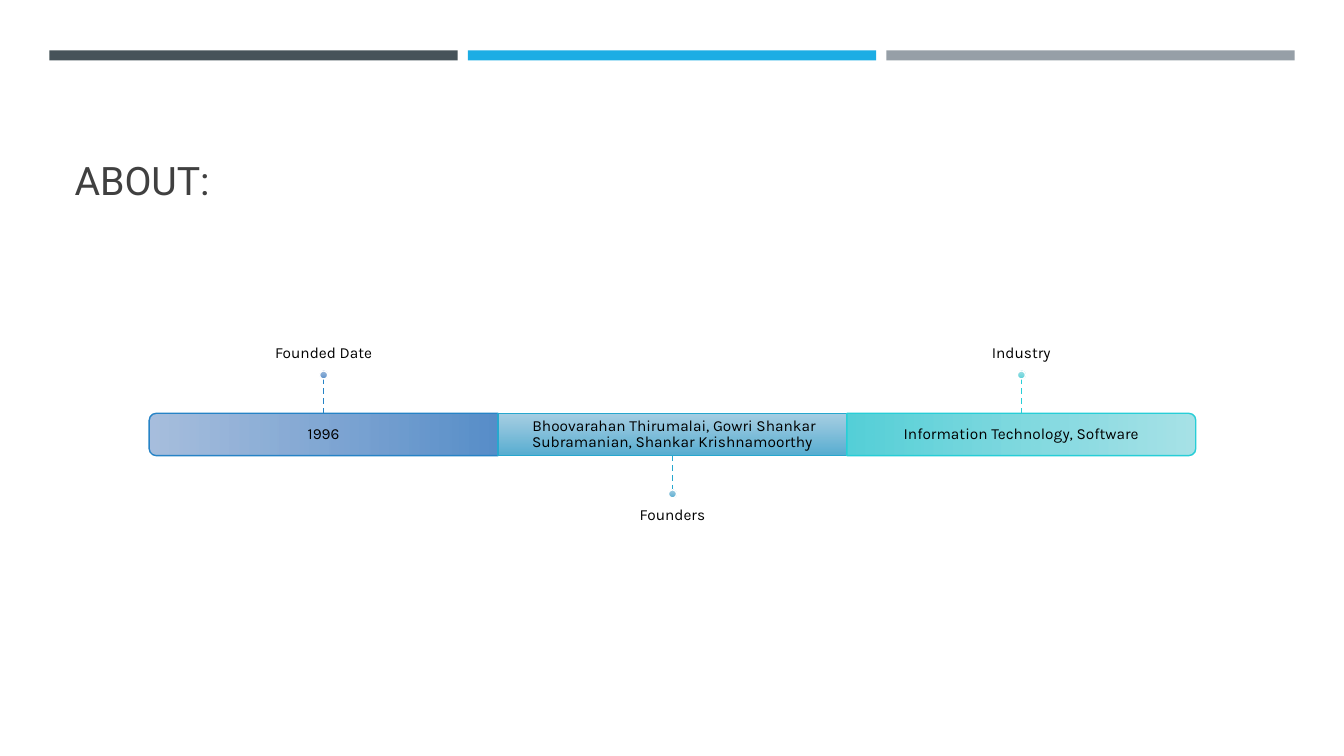
import pptx
import pptx.util
import pptx.dml.color
import pptx.enum.dml
import pptx.enum.shapes
import pptx.enum.text
import pptx.oxml.ns
from dataclasses import dataclass
from lxml import etree

Inches = pptx.util.Inches
Pt = pptx.util.Pt
SHAPE = pptx.enum.shapes.MSO_SHAPE
ANCHOR = pptx.enum.text.MSO_ANCHOR
ALIGN = pptx.enum.text.PP_ALIGN
qn = pptx.oxml.ns.qn


@dataclass(frozen=True)
class Theme:
    title_font: str = "Roboto"
    body_font: str = "Karla"
    title_size: int = 28
    body_size: int = 11
    title: str = "404040"
    text: str = "000000"
    white: str = "FFFFFF"
    bands: tuple = ("465359", "1CADE4", "969FA7")
    segments: tuple = (
        ("9DB7DA", "578EC9", "2683C6"),
        ("9DC9E0", "56ADD1", "27A7CE"),
        ("9DDFE5", "55D0D8", "27CED7"),
    )


THEME = Theme()
FACTS = (
    ("Founded Date", "1996"),
    ("Founders", " Bhoovarahan Thirumalai, Gowri Shankar Subramanian, Shankar Krishnamoorthy"),
    ("Industry", "Information Technology, Software"),
)


def rgb(value):
    return pptx.dml.color.RGBColor.from_string(value)


def write(tf, text, font=THEME.body_font, size=THEME.body_size, color=THEME.text,
          align=ALIGN.CENTER, anchor=ANCHOR.MIDDLE, insets=(0.09, 0.09, 0.09, 0.09), spacing=0.9):
    tf.word_wrap = True
    tf.auto_size = pptx.enum.text.MSO_AUTO_SIZE.NONE
    tf.vertical_anchor = anchor
    tf.margin_left, tf.margin_top, tf.margin_right, tf.margin_bottom = map(Inches, insets)
    p = tf.paragraphs[0]
    p.alignment = align
    p.line_spacing = spacing
    r = p.add_run()
    r.text = text
    r.font.name = font
    r.font.size = Pt(size)
    r.font.color.rgb = rgb(color)


def add_text(slide, box, text, **style):
    write(slide.shapes.add_textbox(*map(Inches, box)).text_frame, text, **style)


def add_gradient_shape(slide, kind, box, light, dark, line):
    sp = slide.shapes.add_shape(kind, *map(Inches, box))
    sp.shadow.inherit = False
    sp.fill.gradient()
    sp.fill.gradient_angle = 270
    for stop, color, position in zip(sp.fill.gradient_stops, (light, dark), (0, 1)):
        stop.color.rgb = rgb(color)
        stop.position = position
    first_color = sp.element.spPr.find(".//" + qn("a:srgbClr"))
    etree.SubElement(first_color, qn("a:alpha"), val="90000")
    sp.line.color.rgb = rgb(line)
    sp.line.width = Pt(1)
    return sp


def add_stem(slide, x, start, end, color):
    cxn = slide.shapes.add_connector(
        pptx.enum.shapes.MSO_CONNECTOR.STRAIGHT, *map(Inches, (x, start, x, end)))
    cxn.line.color.rgb = rgb(color)
    cxn.line.width = Pt(1)
    cxn.line.dash_style = pptx.enum.dml.MSO_LINE.DASH
    etree.SubElement(cxn.element.spPr, qn("a:effectLst"))


def add_bands(slide, box, gap=0.1):
    left, top, width, height = box
    count = len(THEME.bands)
    band = (width - gap * (count - 1)) / count
    for i, color in enumerate(THEME.bands):
        sp = slide.shapes.add_shape(
            SHAPE.RECTANGLE, *map(Inches, (left + i * (band + gap), top, band, height)))
        sp.shadow.inherit = False
        sp.fill.solid()
        sp.fill.fore_color.rgb = rgb(color)
        sp.line.fill.background()


def add_title(slide, box, text):
    sp = slide.shapes.title
    sp.left, sp.top, sp.width, sp.height = map(Inches, box)
    write(sp.text_frame, text, font=THEME.title_font, size=THEME.title_size, color=THEME.title,
          align=ALIGN.LEFT, anchor=ANCHOR.BOTTOM, insets=(0.1, 0.05, 0.1, 0.05))


def add_segment(slide, box, text, colors, rotation):
    left, top, width, height = box
    if rotation:
        upright = (left + (width - height) / 2, top + (height - width) / 2, height, width)
        sp = add_gradient_shape(slide, SHAPE.ROUND_2_SAME_RECTANGLE, upright, *colors)
        sp.rotation = rotation
    else:
        add_gradient_shape(slide, SHAPE.RECTANGLE, box, *colors)
    add_text(slide, box, text)


def add_marker(slide, box, label, colors, above):
    left, top, width, height = box
    x = left + width / 2
    stem, dot, label_width, label_height = 0.34, 0.08, 5.77, 1.48
    light, dark, line = colors
    if above:
        start, end = top, top - stem
        dot_top, label_top = end - dot, end - dot - label_height
        anchor, insets = ANCHOR.BOTTOM, (0, 0, 0, 0.09)
    else:
        start, end = top + height, top + height + stem
        dot_top, label_top = end, end + dot
        anchor, insets = ANCHOR.TOP, (0, 0.09, 0, 0)
    add_text(slide, (x - label_width / 2, label_top, label_width, label_height), label,
             anchor=anchor, insets=insets)
    add_stem(slide, x, start, end, line)
    add_gradient_shape(slide, SHAPE.OVAL, (x - dot / 2, dot_top, dot, dot),
                       light, dark, THEME.white)


def add_timeline(slide, box):
    left, top, width, height = box
    segment = width / len(FACTS)
    rotations = (270, 0, 90)
    for i, ((label, text), colors) in enumerate(zip(FACTS, THEME.segments)):
        part = (left + i * segment, top, segment, height)
        add_segment(slide, part, text, colors, rotations[i])
        add_marker(slide, part, label, colors, above=i % 2 == 0)


def main():
    prs = pptx.Presentation()
    prs.slide_width, prs.slide_height = Inches(13.33), Inches(7.5)
    slide = prs.slides.add_slide(prs.slide_layouts.get_by_name("Title Only"))
    add_bands(slide, (0.49, 0.5, 12.35, 0.1))
    add_title(slide, (0.64, 0.77, 12.06, 1.3), "ABOUT:")
    add_timeline(slide, (1.48, 4.1, 10.38, 0.42))
    prs.save("out.pptx")


if __name__ == "__main__":
    main()
